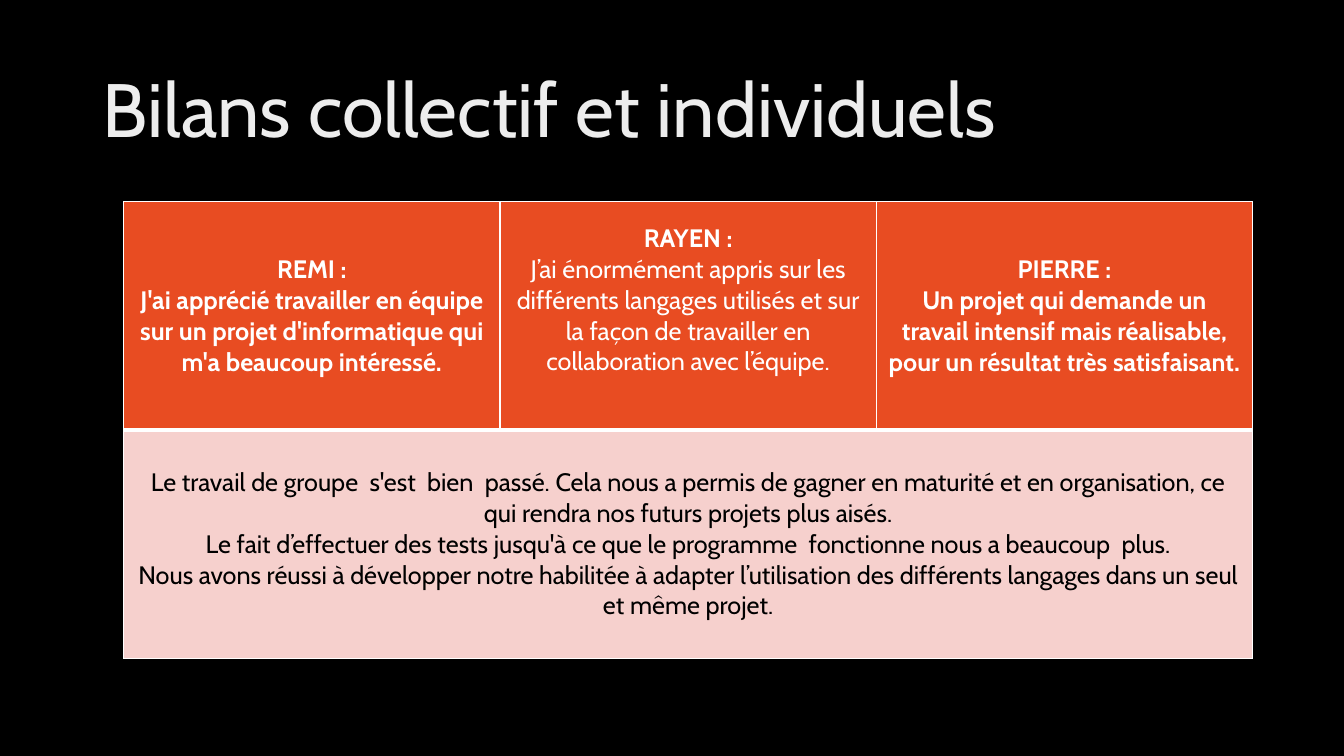
from dataclasses import dataclass

from lxml import etree
from pptx import Presentation
from pptx.dml.color import RGBColor
from pptx.enum.text import MSO_ANCHOR as Anchor, MSO_AUTO_SIZE as AutoSize, PP_ALIGN as Align
from pptx.oxml import parse_xml
from pptx.oxml.ns import nsdecls, qn
from pptx.util import Inches, Pt

SLIDE_WIDTH, SLIDE_HEIGHT = Inches(13.33), Inches(7.5)


@dataclass(frozen=True)
class Theme:
    font: str = "Cabin"
    title_size: int = 54
    body_size: int = 18
    background: str = "000000"
    individual_fill: str = "E84C22"
    individual_text: str = "FFFFFF"
    group_fill: str = "F6D0CD"
    group_text: str = "000000"
    border: str = "FFFFFF"
    thin: int = 1
    thick: int = 3
    title_stops: tuple = ((0, "DEDEDE"), (28, "EDEDED"), (100, "FFFFFF"))
    title_angle: int = 80


class ReviewSlide:
    """Holds the theme and the current slide; places are shares of the slide."""

    def __init__(self, deck, theme):
        self.theme = theme
        self.slide = deck.slides.add_slide(deck.slide_layouts[5])
        self.slide.background.fill.solid()
        self.slide.background.fill.fore_color.rgb = RGBColor.from_string(theme.background)

    def area(self, left, top, width, height):
        return (int(left * SLIDE_WIDTH), int(top * SLIDE_HEIGHT),
                int(width * SLIDE_WIDTH), int(height * SLIDE_HEIGHT))

    def title(self, wording, *share):
        heading = self.slide.shapes.title
        heading.left, heading.top, heading.width, heading.height = self.area(*share)
        frame = heading.text_frame
        frame.text = wording
        frame.auto_size = AutoSize.NONE
        frame.vertical_anchor = Anchor.MIDDLE
        line = frame.paragraphs[0]
        line.alignment, line.line_spacing = Align.LEFT, 0.9
        run = line.runs[0]
        run.font.name, run.font.size = self.theme.font, Pt(self.theme.title_size)
        self.gradient(run)

    def gradient(self, run):
        stops = "".join(f'<a:gs pos="{share * 1000}"><a:srgbClr val="{color}"/></a:gs>'
                        for share, color in self.theme.title_stops)
        run._r.get_or_add_rPr().insert(0, parse_xml(
            f'<a:gradFill {nsdecls("a")}><a:gsLst>{stops}</a:gsLst>'
            f'<a:lin ang="{self.theme.title_angle * 60000}" scaled="0"/></a:gradFill>'))

    def table(self, rows, columns, *share):
        grid = self.slide.shapes.add_table(rows, columns, *self.area(*share)).table
        grid.first_row = grid.horz_banding = False
        return grid

    def fill_cell(self, cell, lines, fill, color, bold_lines=0):
        cell.fill.solid()
        cell.fill.fore_color.rgb = RGBColor.from_string(fill)
        cell.vertical_anchor = Anchor.MIDDLE
        cell.text_frame.text = "\n".join(lines)
        for index, line in enumerate(cell.text_frame.paragraphs):
            line.alignment = Align.CENTER
            font = line.runs[0].font
            font.name, font.size = self.theme.font, Pt(self.theme.body_size)
            font.bold = index < bold_lines
            font.color.rgb = RGBColor.from_string(color)

    def borders(self, cell, **widths):
        properties = cell._tc.get_or_add_tcPr()
        for position, side in enumerate("LRTB"):
            width = widths.get(side, self.theme.thin)
            edge = etree.Element(qn(f"a:ln{side}"), w=str(Pt(width)))
            solid = etree.SubElement(edge, qn("a:solidFill"))
            etree.SubElement(solid, qn("a:srgbClr"), val=self.theme.border)
            properties.insert(position, edge)


# Wording: name, review, number of bold lines
INDIVIDUAL_REVIEWS = [
    ("REMI :", "J'ai apprécié travailler en équipe sur un projet d'informatique "
               "qui m'a beaucoup intéressé.", 2),
    ("RAYEN :", "J’ai énormément appris sur les différents langages utilisés et sur "
                "la façon de travailler en collaboration avec l’équipe.", 1),
    ("PIERRE :", "Un projet qui demande un travail intensif mais réalisable, "
                 "pour un résultat très satisfaisant.", 2),
]
GROUP_REVIEW = [
    "Le travail de groupe  s'est  bien  passé. Cela nous a permis de gagner en maturité "
    "et en organisation, ce qui rendra nos futurs projets plus aisés.",
    "Le fait d’effectuer des tests jusqu'à ce que le programme  fonctionne nous a "
    "beaucoup  plus.",
    "Nous avons réussi à développer notre habilitée à adapter l’utilisation des "
    "différents langages dans un seul et même projet.",
]


def main():
    deck = Presentation()
    deck.slide_width, deck.slide_height = SLIDE_WIDTH, SLIDE_HEIGHT
    theme = Theme()
    page = ReviewSlide(deck, theme)

    # Title
    page.title("Bilans collectif et individuels", 0.069, 0.053, 0.863, 0.193)

    # Individual reviews, one per column
    reviews = page.table(2, len(INDIVIDUAL_REVIEWS), 0.092, 0.267, 0.84, 0.604)
    for column, (name, review, bold_lines) in enumerate(INDIVIDUAL_REVIEWS):
        page.fill_cell(reviews.cell(0, column), (name, review),
                       theme.individual_fill, theme.individual_text, bold_lines)
        page.borders(reviews.cell(0, column), B=theme.thick)
        page.borders(reviews.cell(1, column), T=theme.thick)
    # The longest review sits one line higher
    reviews.cell(0, 1).margin_bottom = Inches(0.36)

    # Group review across the whole width
    group = reviews.cell(1, 0)
    group.merge(reviews.cell(1, len(INDIVIDUAL_REVIEWS) - 1))
    page.fill_cell(group, GROUP_REVIEW, theme.group_fill, theme.group_text)

    deck.save("out.pptx")


if __name__ == "__main__":
    main()
